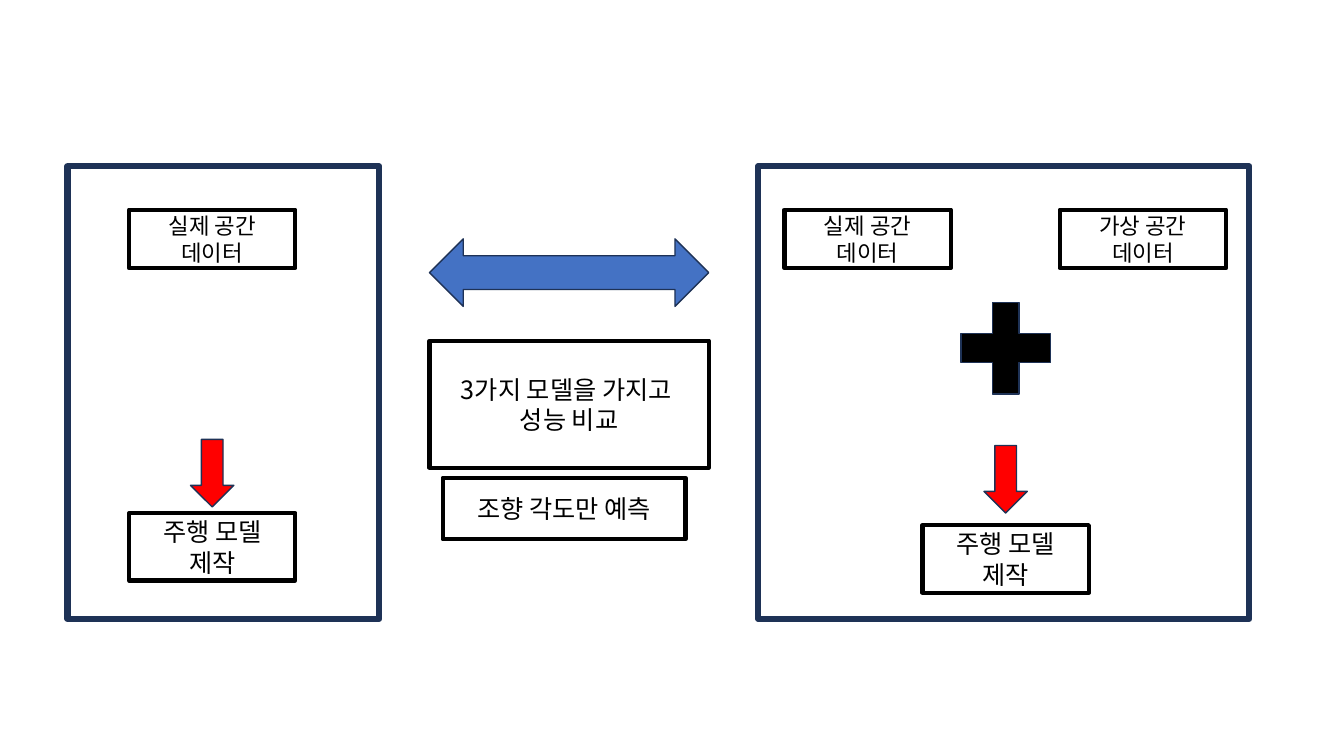
from lxml import etree
from pptx import Presentation
from pptx.dml.color import RGBColor
from pptx.enum import shapes, text
from pptx.oxml import ns
from pptx.util import Inches, Pt

BLACK = RGBColor(0x00, 0x00, 0x00)
NAVY = RGBColor(0x1E, 0x32, 0x56)
BLUE = RGBColor(0x44, 0x72, 0xC4)
RED = RGBColor(0xFF, 0x00, 0x00)
FONT = "Noto Sans CJK KR"
KIND = shapes.MSO_SHAPE

REAL_DATA = ["실제 공간", "데이터"]
VIRTUAL_DATA = ["가상 공간", "데이터"]
DRIVING_MODEL = ["주행 모델", "제작"]
COMPARISON = ["3가지 모델을 가지고 ", "성능 비교"]
STEERING = ["조향 각도만 예측"]


def add_figure(page, kind, place, line, width, fill=None):
    figure = page.shapes.add_shape(kind, *map(Inches, place))
    figure.shadow.inherit = False
    if fill is None:
        figure.fill.background()
    else:
        figure.fill.solid()
        figure.fill.fore_color.rgb = fill
    figure.line.color.rgb = line
    figure.line.width = Pt(width)
    return figure


def add_frame(page, place):
    add_figure(page, KIND.RECTANGLE, place, NAVY, 4.5)


def add_symbol(page, kind, place, fill):
    return add_figure(page, kind, place, NAVY, 1, fill)


def add_label(page, place, lines, size):
    frame = add_figure(page, KIND.RECTANGLE, place, BLACK, 3).text_frame
    frame.word_wrap = True
    frame.vertical_anchor = text.MSO_ANCHOR.MIDDLE
    for index, words in enumerate(lines):
        para = frame.add_paragraph() if index else frame.paragraphs[0]
        para.alignment = text.PP_ALIGN.CENTER
        span = para.add_run()
        span.text = words
        span.font.color.rgb = BLACK
        for name, value in {"name": FONT, "size": Pt(size)}.items():
            setattr(span.font, name, value)
        properties = span._r.get_or_add_rPr()
        etree.SubElement(properties, ns.qn("a:ea"), typeface=FONT)


def add_data(page, left, lines):
    add_label(page, (left, 2.08, 1.65, 0.58), lines, 16)


def add_model(page, left, top):
    add_label(page, (left, top, 1.65, 0.67), DRIVING_MODEL, 18)


def add_down_arrow(page, left, top):
    add_symbol(page, KIND.DOWN_ARROW, (left, top, 0.43, 0.67), RED)


def main():
    deck = Presentation()
    deck.slide_width, deck.slide_height = Inches(13.33), Inches(7.5)
    page = deck.slides.add_slide(deck.slide_layouts[6])

    add_frame(page, (0.67, 1.65, 3.09, 4.49))
    add_data(page, 1.28, REAL_DATA)
    add_down_arrow(page, 1.89, 4.36)
    add_model(page, 1.28, 5.09)

    add_symbol(page, KIND.LEFT_RIGHT_ARROW, (4.26, 2.37, 2.77, 0.67), BLUE)
    add_label(page, (4.26, 3.38, 2.77, 1.26), COMPARISON, 18)
    add_label(page, (4.39, 4.74, 2.41, 0.61), STEERING, 18)

    add_frame(page, (7.52, 1.65, 4.87, 4.49))
    add_data(page, 7.78, REAL_DATA)
    add_data(page, 10.51, VIRTUAL_DATA)
    plus = add_symbol(page, KIND.CROSS, (9.53, 3, 0.89, 0.91), BLACK)
    plus.adjustments[0] = 0.35
    add_down_arrow(page, 9.76, 4.42)
    add_model(page, 9.15, 5.21)

    deck.save("out.pptx")


if __name__ == "__main__":
    main()
